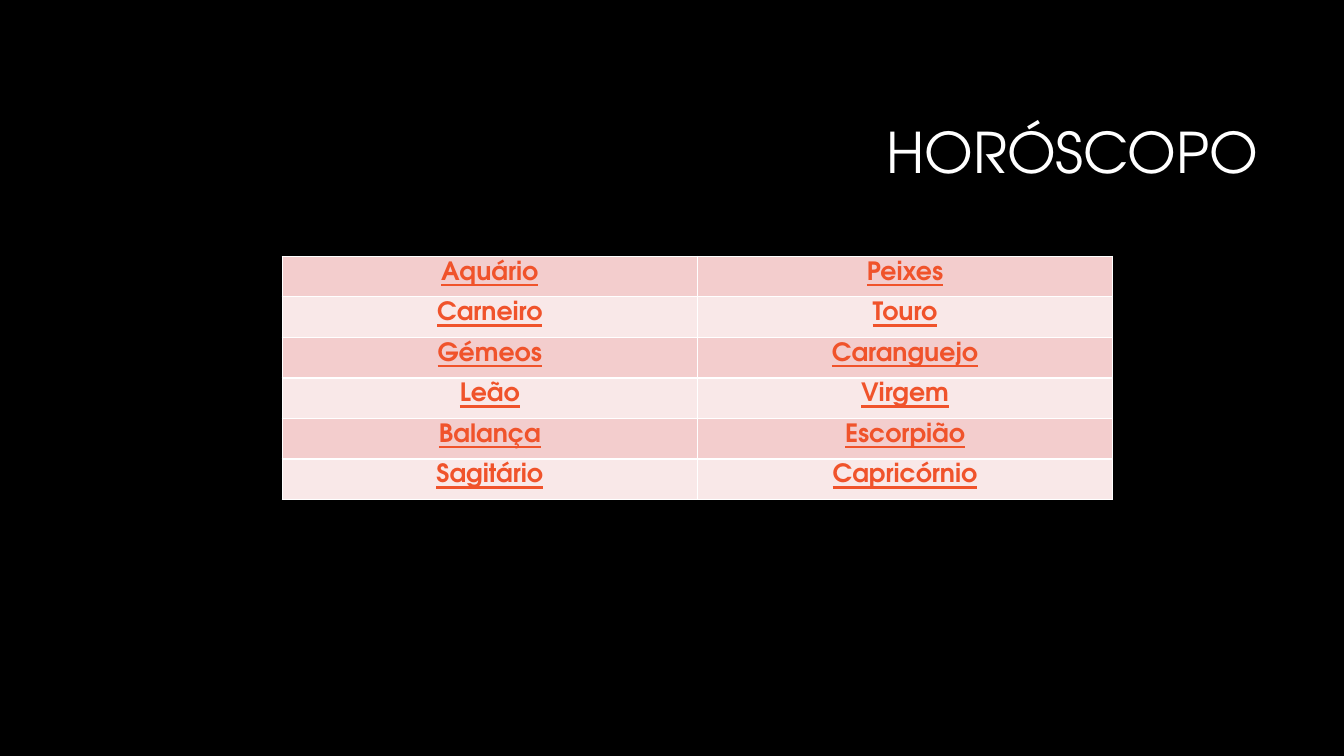
from lxml import etree
from pptx import Presentation
from pptx import util as u
from pptx.dml.color import RGBColor
from pptx.enum import text
from pptx.oxml import ns

FONT = "TeX Gyre Adventor"
SIGNS = [
    ("Aquário", "Peixes"),
    ("Carneiro", "Touro"),
    ("Gémeos", "Caranguejo"),
    ("Leão", "Virgem"),
    ("Balança", "Escorpião"),
    ("Sagitário", "Capricórnio"),
]
BANDS = ("F3CDCD", "F9E8E8")


def paint(fill, color):
    """Give a fill one solid hex colour."""
    fill.solid()
    fill.fore_color.rgb = RGBColor.from_string(color)


def write(tf, words, size, color, align, bold=False, underline=False, spacing=1.0):
    """Write one formatted paragraph into a text frame."""
    p = tf.paragraphs[0]
    p.alignment = align
    p.line_spacing = spacing
    r = p.add_run()
    r.text = words
    r.font.name = FONT
    r.font.size = u.Pt(size)
    r.font.bold = bold
    r.font.underline = underline
    paint(r.font.fill, color)


def add_borders(cell, color, width):
    """Put a solid line on all four sides of a table cell."""
    tcPr = cell._tc.get_or_add_tcPr()
    for i, side in enumerate(("lnL", "lnR", "lnT", "lnB")):
        ln = etree.Element(ns.qn(f"a:{side}"), w=str(u.Pt(width)))
        fill = etree.SubElement(ln, ns.qn("a:solidFill"))
        etree.SubElement(fill, ns.qn("a:srgbClr"), val=color)
        tcPr.insert(i, ln)


def add_title(s, x, y, w, h, words):
    """Place the right-aligned title in its box."""
    tf = s.shapes.add_textbox(u.Cm(x), u.Cm(y), u.Cm(w), u.Cm(h)).text_frame
    tf.word_wrap = True
    tf.vertical_anchor = text.MSO_ANCHOR.MIDDLE
    write(tf, words, 40, "FFFFFF", text.PP_ALIGN.RIGHT, spacing=0.9)


def add_sign_table(s, x, y, w, h, rows):
    """Place the banded table of signs in its box."""
    frame = s.shapes.add_table(len(rows), len(rows[0]), u.Cm(x), u.Cm(y), u.Cm(w), u.Cm(h))
    tbl = frame.table
    for i, names in enumerate(rows):
        for j, name in enumerate(names):
            cell = tbl.cell(i, j)
            cell.margin_top = u.Cm(0.13)
            cell.margin_bottom = 0
            paint(cell.fill, BANDS[i % 2])
            add_borders(cell, "FFFFFF", 1)
            write(cell.text_frame, name, 18, "F0532B", text.PP_ALIGN.CENTER,
                  bold=True, underline=True)


def main():
    """Build the horoscope slide and save it."""
    prs = Presentation()
    prs.slide_width, prs.slide_height = u.Cm(33.87), u.Cm(19.05)
    s = prs.slides.add_slide(prs.slide_layouts[6])
    paint(s.background.fill, "000000")
    add_title(s, 8.03, 2.13, 23.93, 3.58, "HORÓSCOPO")
    add_sign_table(s, 7.11, 6.46, 20.93, 6.13, SIGNS)
    prs.save("out.pptx")


if __name__ == "__main__":
    main()
